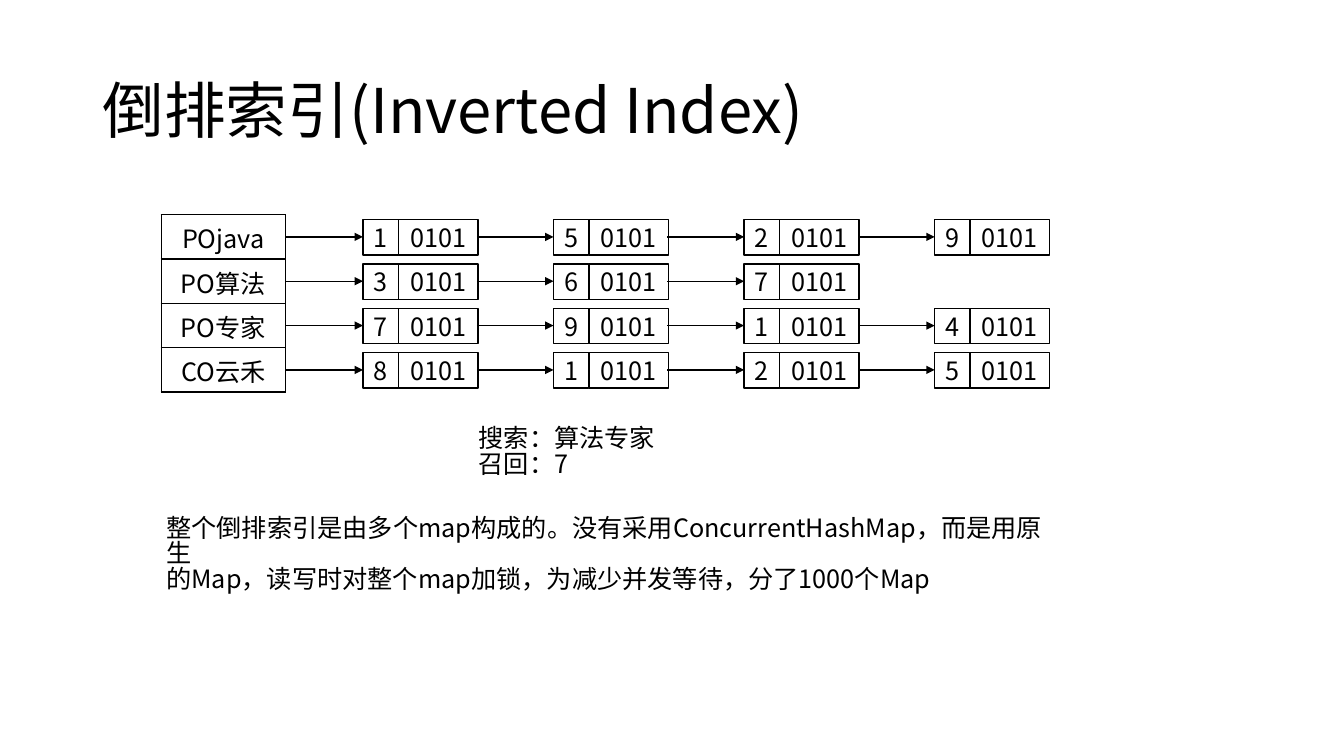
from lxml import etree
from pptx import Presentation
from pptx import util as u
from pptx.dml.color import RGBColor
from pptx.enum import shapes, text
from pptx.oxml.ns import qn

PX = 9144  # 100 px to the inch
FONT = "Noto Sans CJK SC"
HUES = {"ink": "000000", "paper": "FFFFFF"}
CHAINS = [
    ("POjava", "1529"),
    ("PO算法", "367"),
    ("PO专家", "7914"),
    ("CO云禾", "8125"),
]
CODE = "0101"
LEFT, TOP = 360, 218
STEP, PITCH = 189, 44
SIDE, WIDE, GAP = 35, 79, 76
MID = text.PP_ALIGN.CENTER


def px(*vals):
    return [u.Emu(val * PX) for val in vals]


def hue(key):
    return RGBColor.from_string(HUES[key])


def add_run(para, words, size=18):
    run = para.add_run()
    run.text = words
    font = run.font
    font.size = u.Pt(size)
    font.bold = False
    font.name = FONT
    font.color.rgb = hue("ink")
    east = etree.SubElement(run._r.get_or_add_rPr(), qn("a:ea"))
    east.set("typeface", FONT)


def add_text(slide, box, lines, size=18, space=0.84, anchor=text.MSO_ANCHOR.TOP):
    frame = slide.shapes.add_textbox(*px(*box)).text_frame
    frame.word_wrap = True
    frame.vertical_anchor = anchor
    for i, line in enumerate(lines):
        para = frame.add_paragraph() if i else frame.paragraphs[0]
        para.line_spacing = space
        add_run(para, line, size)


def add_box(group, x, y, wide, words):
    box = group.shapes.add_shape(
        shapes.MSO_SHAPE.RECTANGLE, *px(x, y, wide, SIDE))
    box.shadow.inherit = False
    box.fill.solid()
    box.fill.fore_color.rgb = hue("paper")
    box.line.color.rgb = hue("ink")
    box.line.width = u.Pt(1)
    frame = box.text_frame
    frame.margin_left = frame.margin_right = 0
    frame.margin_top = frame.margin_bottom = 0
    frame.vertical_anchor = text.MSO_ANCHOR.MIDDLE
    para = frame.paragraphs[0]
    para.alignment = MID
    add_run(para, words)


def add_arrow(group, x, y):
    """Draw an arrow across one gap, with its tip at x, y."""
    link = group.shapes.add_connector(
        shapes.MSO_CONNECTOR.STRAIGHT, *px(x - GAP, y, x, y))
    link.line.color.rgb = hue("ink")
    link.line.width = u.Pt(1)
    tip = etree.SubElement(link.line._get_or_add_ln(), qn("a:tailEnd"))
    tip.set("type", "triangle")
    etree.SubElement(link._element.spPr, qn("a:effectLst"))


def add_chain(slide, row, ids):
    group = slide.shapes.add_group_shape()
    y = TOP + row * PITCH
    for col, key in enumerate(ids):
        x = LEFT + col * STEP
        add_box(group, x, y, SIDE, key)
        add_box(group, x + SIDE, y, WIDE, CODE)
        add_arrow(group, x, y + SIDE // 2)


def add_edges(cell):
    props = cell._tc.get_or_add_tcPr()
    for i, side in enumerate(("lnL", "lnR", "lnT", "lnB")):
        edge = etree.Element(qn("a:" + side), w=str(u.Pt(1)))
        fill = etree.SubElement(edge, qn("a:solidFill"))
        etree.SubElement(fill, qn("a:srgbClr"), val=HUES["ink"])
        props.insert(i, edge)


def add_terms(slide, terms):
    frame = slide.shapes.add_table(
        len(terms), 1, *px(160, 213, 123, PITCH * len(terms)))
    table = frame.table
    table.first_row = table.horz_banding = False
    for row, term in enumerate(terms):
        cell = table.cell(row, 0)
        cell.fill.solid()
        cell.fill.fore_color.rgb = hue("paper")
        add_edges(cell)
        para = cell.text_frame.paragraphs[0]
        para.alignment = MID
        add_run(para, term)


def main():
    deck = Presentation()
    deck.slide_width, deck.slide_height = px(1333, 750)
    slide = deck.slides.add_slide(deck.slide_layouts[6])
    add_text(slide, (92, 40, 1150, 145), ["倒排索引(Inverted Index)"],
             44, 0.9, text.MSO_ANCHOR.MIDDLE)
    add_terms(slide, [term for term, ids in CHAINS])
    add_text(slide, (465, 419, 197, 71), ["搜索：算法专家", "召回：7"])
    add_text(slide, (155, 508, 899, 71), [
        "整个倒排索引是由多个map构成的。没有采用ConcurrentHashMap，而是用原生",
        "的Map，读写时对整个map加锁，为减少并发等待，分了1000个Map",
    ])
    for row, (term, ids) in enumerate(CHAINS):
        add_chain(slide, row, ids)
    deck.save("out.pptx")


if __name__ == "__main__":
    main()
